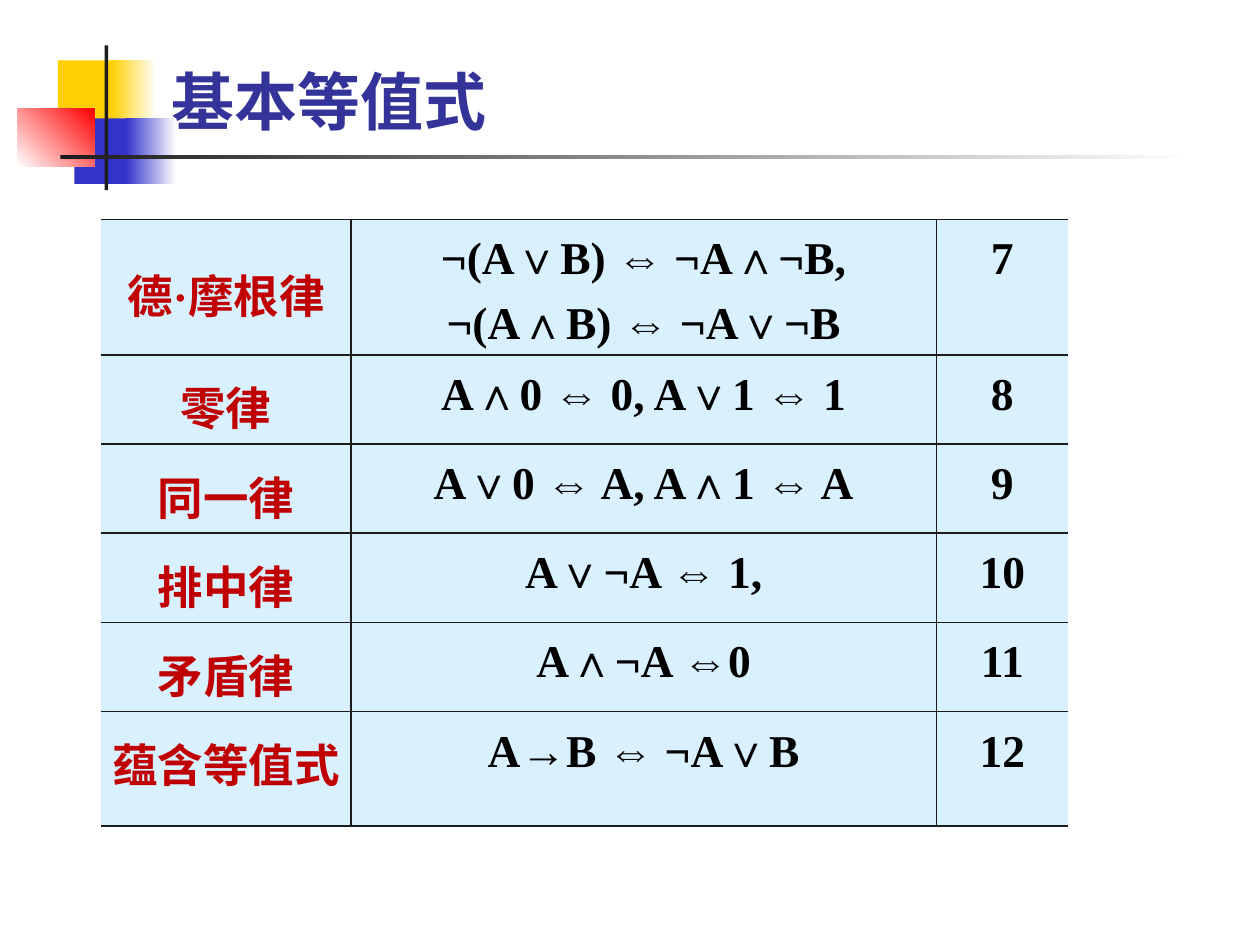
from lxml.etree import SubElement
from pptx import Presentation
from pptx.dml.color import RGBColor
from pptx.enum.shapes import MSO_SHAPE
from pptx.enum.text import MSO_ANCHOR, MSO_AUTO_SIZE, PP_ALIGN
from pptx.oxml.ns import qn
from pptx.util import Inches, Pt

INK, WHITE = "1C1C1C", "FFFFFF"
YELLOW, BLUE, RED = "FFCF01", "3333CC", "FF0000"
TITLE_COLOR, LAW_COLOR, FORMULA_COLOR, CELL_COLOR = "333399", "C00000", "000000", "D9F1FF"

# Column, row, columns, rows, colours, gradient angle
EMBLEM_GRID = (126, 115)
EMBLEM = [
    (32, 12, 48, 52, [YELLOW], 0),
    (74, 12, 36, 52, [YELLOW, WHITE], 0),
    (45, 58, 46, 52, [BLUE], 0),
    (86, 58, 40, 52, [BLUE, WHITE], 0),
    (0, 50, 61, 46, [WHITE, RED], 45),
    (69, 0, 3, 115, [INK], 0),
    (34, 87, 900, 3, [INK, WHITE], 0),
]

LAWS = [
    ("德·摩根律", ["¬(A∨B) ⇔ ¬A∧¬B,", "¬(A∧B) ⇔ ¬A∨¬B"]),
    ("零律", ["A∧0 ⇔ 0, A∨1 ⇔ 1"]),
    ("同一律", ["A∨0 ⇔ A, A∧1 ⇔ A"]),
    ("排中律", ["A∨¬A ⇔ 1,"]),
    ("矛盾律", ["A∧¬A ⇔0"]),
    ("蕴含等值式", ["A→B ⇔ ¬A∨B"]),
]
FIRST_NUMBER = 7
COLUMN_WIDTHS = [1.99, 4.65, 1.05]
ROW_HEIGHTS = [0.95, 0.49, 0.49, 0.49, 0.49, 0.91]


def rgb(color):
    return RGBColor.from_string(color)


def write(frame, lines, font="Times New Roman", size=26, color=FORMULA_COLOR,
          align=PP_ALIGN.CENTER, spacing=1.2, gap=2.6):
    for index, line in enumerate(lines):
        paragraph = frame.add_paragraph() if index else frame.paragraphs[0]
        paragraph.alignment = align
        paragraph.line_spacing = spacing
        paragraph.space_before = Pt(gap if index else 0)
        run = paragraph.add_run()
        run.text = line
        run.font.name, run.font.size, run.font.bold = font, Pt(size), True
        run.font.color.rgb = rgb(color)


def paint(fill, colors, angle):
    if len(colors) == 1:
        fill.solid()
        fill.fore_color.rgb = rgb(colors[0])
        return
    fill.gradient()
    fill.gradient_angle = angle
    for stop, color in zip(fill.gradient_stops, colors):
        stop.color.rgb = rgb(color)


def add_emblem(slide, left, top, width, height):
    """Overlapping squares with a cross whose long arm underlines the title."""
    unit_x, unit_y = width / EMBLEM_GRID[0], height / EMBLEM_GRID[1]
    for column, row, columns, rows, colors, angle in EMBLEM:
        block = slide.shapes.add_shape(
            MSO_SHAPE.RECTANGLE,
            Inches(left + column * unit_x), Inches(top + row * unit_y),
            Inches(columns * unit_x), Inches(rows * unit_y))
        block.shadow.inherit = False
        block.line.fill.background()
        paint(block.fill, colors, angle)


def add_title(slide, left, top, width, height):
    title = slide.shapes.title
    title.left, title.top = Inches(left), Inches(top)
    title.width, title.height = Inches(width), Inches(height)
    frame = title.text_frame
    frame.auto_size = MSO_AUTO_SIZE.NONE
    frame.vertical_anchor = MSO_ANCHOR.BOTTOM
    write(frame, ["基本等值式"], font="Roboto", size=36, color=TITLE_COLOR,
          align=PP_ALIGN.LEFT, spacing=1.0)


def set_borders(cell, hidden):
    """Rule every side of the cell except the hidden one; call before filling."""
    properties = cell._tc.get_or_add_tcPr()
    for side in ("lnL", "lnR", "lnT", "lnB"):
        border = SubElement(properties, qn(f"a:{side}"), w=str(Pt(1)))
        if side == hidden:
            SubElement(border, qn("a:noFill"))
        else:
            solid = SubElement(border, qn("a:solidFill"))
            SubElement(solid, qn("a:srgbClr"), val=INK)


def add_laws(slide, left, top, width, height):
    holder = slide.shapes.add_table(
        len(LAWS), len(COLUMN_WIDTHS),
        Inches(left), Inches(top), Inches(width), Inches(height))
    table = holder.table
    table.first_row = table.horz_banding = False
    for column, share in zip(table.columns, COLUMN_WIDTHS):
        column.width = Inches(width * share / sum(COLUMN_WIDTHS))
    for row, row_height in zip(table.rows, ROW_HEIGHTS):
        row.height = Inches(row_height)
    holder.height = Inches(height)

    for index, (law, formulas) in enumerate(LAWS):
        contents = [
            ([law], LAW_COLOR, "lnL"),
            (formulas, FORMULA_COLOR, None),
            ([str(FIRST_NUMBER + index)], FORMULA_COLOR, "lnR"),
        ]
        for column, (lines, color, hidden) in enumerate(contents):
            cell = table.cell(index, column)
            cell.margin_left = cell.margin_right = Inches(0.07)
            cell.margin_top = cell.margin_bottom = Inches(0.04)
            set_borders(cell, hidden)
            paint(cell.fill, [CELL_COLOR], 0)
            write(cell.text_frame, lines, color=color)
    table.cell(0, 0).vertical_anchor = MSO_ANCHOR.MIDDLE


def main():
    deck = Presentation()
    deck.slide_width, deck.slide_height = Inches(10), Inches(7.5)
    slide = deck.slides.add_slide(deck.slide_layouts[5])
    add_emblem(slide, 0.14, 0.36, 1.26, 1.15)
    add_title(slide, 1.26, 0.08, 8.52, 1.07)
    add_laws(slide, 0.8, 1.74, 7.68, 4.21)
    deck.save("out.pptx")


if __name__ == "__main__":
    main()
